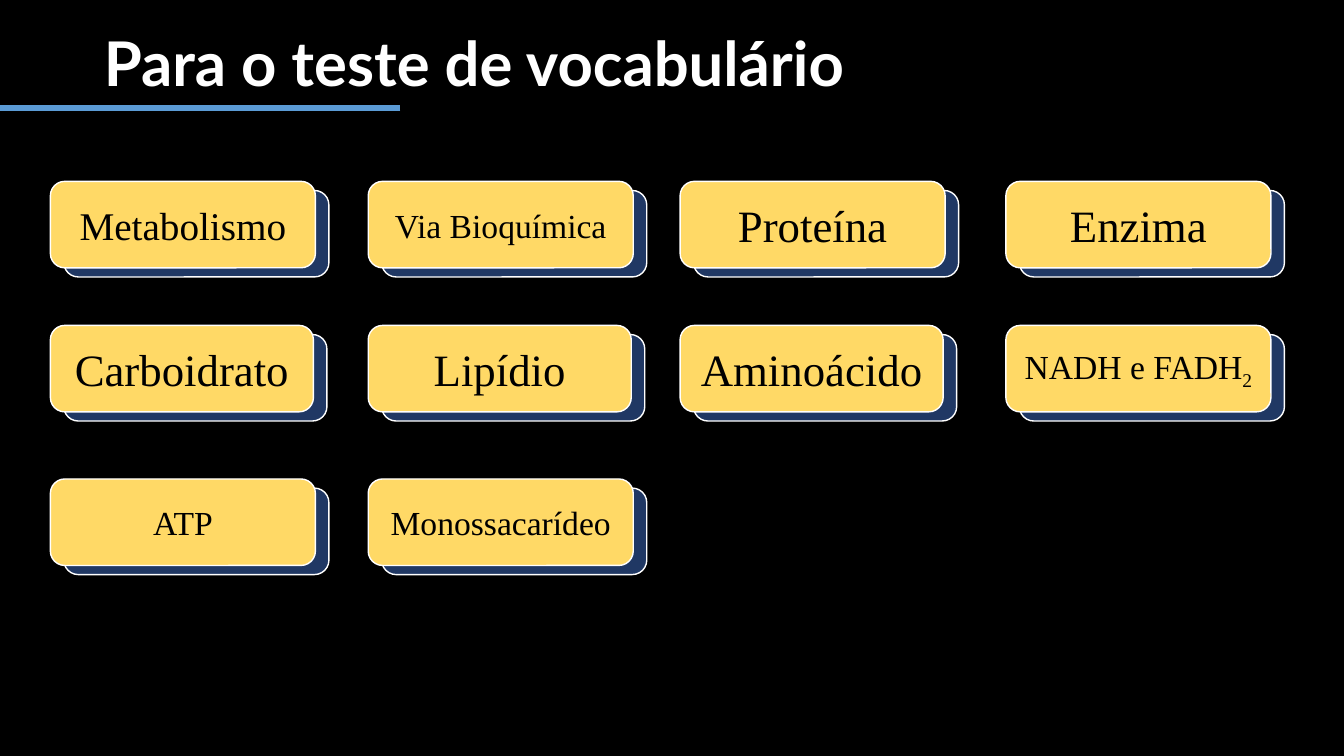
from lxml.etree import SubElement
from pptx import Presentation
from pptx.dml.color import RGBColor
from pptx.enum.shapes import MSO_CONNECTOR, MSO_SHAPE
from pptx.enum.text import MSO_ANCHOR, PP_ALIGN
from pptx.oxml.ns import qn
from pptx.util import Cm, Pt

BLACK = RGBColor(0x00, 0x00, 0x00)
WHITE = RGBColor(0xFF, 0xFF, 0xFF)
BLUE = RGBColor(0x5B, 0x9B, 0xD5)
NAVY = RGBColor(0x20, 0x38, 0x64)
YELLOW = RGBColor(0xFF, 0xD9, 0x66)

COLUMNS = [1.27, 9.28, 17.14, 25.35]
ROWS = [4.57, 8.2, 12.07]
WIDE, NARROW, CARD_HEIGHT = 6.68, 6.63, 2.18
SHIFT_X, SHIFT_Y = 0.34, 0.23

TERMS = [
    [("Metabolismo", 28, WIDE), ("Via Bioquímica", 24, WIDE),
     ("Proteína", 32, WIDE), ("Enzima", 32, WIDE)],
    [("Carboidrato", 32, NARROW), ("Lipídio", 32, NARROW),
     ("Aminoácido", 32, NARROW), ("NADH e FADH", 24, WIDE, "2")],
    [("ATP", 24, WIDE), ("Monossacarídeo", 24, WIDE)],
]


def add_run(p, text, font, size, color, bold=False):
    """Add one formatted run to a paragraph and return it."""
    r = p.add_run()
    r.text = text
    r.font.name = font
    r.font.size = Pt(size)
    r.font.bold = bold
    r.font.color.rgb = color
    return r


def add_title(s, text):
    """Add the slide title."""
    tf = s.shapes.add_textbox(Cm(2.62), Cm(-0.03), Cm(20.45), Cm(3.4)).text_frame
    tf.word_wrap = True
    tf.vertical_anchor = MSO_ANCHOR.MIDDLE
    tf.margin_left = tf.margin_right = tf.margin_top = tf.margin_bottom = 0
    p = tf.paragraphs[0]
    p.line_spacing = 0.9
    add_run(p, text, "Lato", 44, WHITE, bold=True)


def add_rule(s):
    """Add the blue line under the title."""
    line = s.shapes.add_connector(
        MSO_CONNECTOR.STRAIGHT, Cm(10.09), Cm(2.72), Cm(-0.15), Cm(2.72))
    line.line.color.rgb = BLUE
    line.line.width = Pt(4.5)
    SubElement(line._element.spPr, qn("a:effectLst"))


def add_box(s, x, y, width, fill):
    """Add a rounded box with a white outline."""
    sp = s.shapes.add_shape(
        MSO_SHAPE.ROUNDED_RECTANGLE, Cm(x), Cm(y), Cm(width), Cm(CARD_HEIGHT))
    sp.shadow.inherit = False
    sp.fill.solid()
    sp.fill.fore_color.rgb = fill
    sp.line.color.rgb = WHITE
    sp.line.width = Pt(1)
    return sp


def add_card(s, x, y, text, size, width, subscript=""):
    """Add a yellow term card over its navy backing."""
    add_box(s, x + SHIFT_X, y + SHIFT_Y, width, NAVY)
    tf = add_box(s, x, y, width, YELLOW).text_frame
    tf.word_wrap = True
    tf.vertical_anchor = MSO_ANCHOR.MIDDLE
    p = tf.paragraphs[0]
    p.alignment = PP_ALIGN.CENTER
    add_run(p, text, "Times New Roman", size, BLACK)
    if subscript:
        r = add_run(p, subscript, "Times New Roman", size, BLACK)
        r._r.get_or_add_rPr().set("baseline", "-25000")


def main():
    """Build the vocabulary slide."""
    prs = Presentation()
    prs.slide_width, prs.slide_height = Cm(33.87), Cm(19.05)
    s = prs.slides.add_slide(prs.slide_layouts[6])
    s.background.fill.solid()
    s.background.fill.fore_color.rgb = BLACK
    add_title(s, "Para o teste de vocabulário")
    add_rule(s)
    for y, terms in zip(ROWS, TERMS):
        for x, term in zip(COLUMNS, terms):
            add_card(s, x, y, *term)
    prs.save("out.pptx")


if __name__ == "__main__":
    main()
